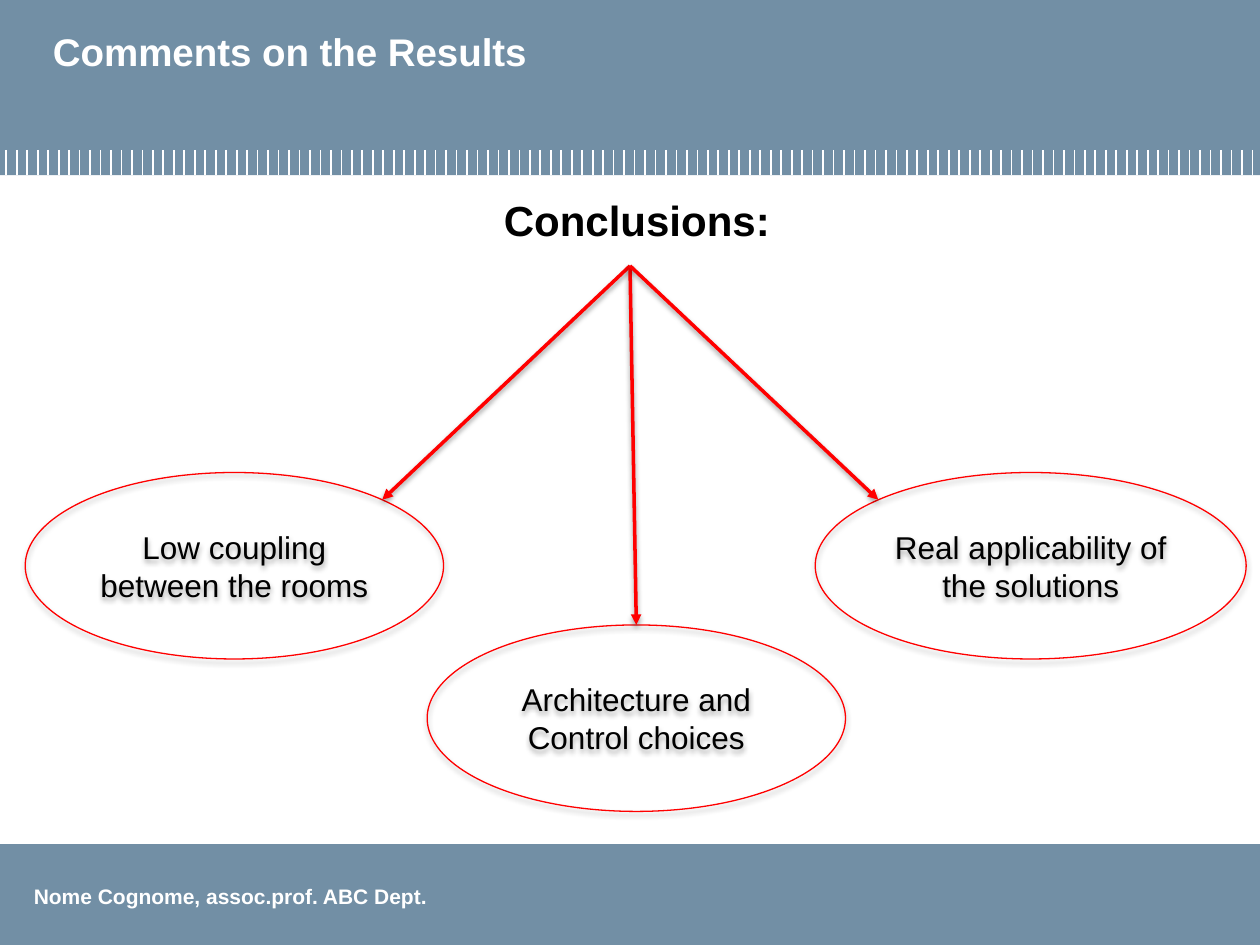
from math import sqrt

from lxml import etree
from pptx import Presentation
from pptx.dml.color import RGBColor
from pptx.enum.shapes import MSO_CONNECTOR, MSO_SHAPE
from pptx.enum.text import MSO_ANCHOR, MSO_AUTO_SIZE, PP_ALIGN
from pptx.oxml.ns import qn
from pptx.util import Inches, Pt

RECTANGLE, OVAL = MSO_SHAPE.RECTANGLE, MSO_SHAPE.OVAL
STRAIGHT = MSO_CONNECTOR.STRAIGHT
LEFT, CENTER = PP_ALIGN.LEFT, PP_ALIGN.CENTER
TOP, MIDDLE = MSO_ANCHOR.TOP, MSO_ANCHOR.MIDDLE
NO_AUTOFIT = MSO_AUTO_SIZE.NONE

COLORS = {"band": "728FA5", "white": "FFFFFF", "black": "000000", "red": "FF0000"}
FONT = "Arial"
TITLE_ONLY = 5
TICK_COUNT = 120
TICK_FIRST, TICK_LAST = 0.05, 9.94
OVAL_SHADOW = {"blur": 3.1, "distance": 1.8, "opacity": 35}
ARROW_SHADOW = {"blur": 3.1, "distance": 1.6, "opacity": 38}
ARROW_START = (5, 2.11)
CONCLUSIONS = [
    ("Low coupling between the rooms", 0.2, 3.75, 3.32),
    ("Architecture and Control choices", 3.39, 4.96, 3.32),
    ("Real applicability of the solutions", 6.47, 3.75, 3.42),
]
OVAL_HEIGHT = 1.48


def color(name):
    return RGBColor.from_string(COLORS[name])


def write(frame, text, size, color_name, bold=False, align=LEFT, anchor=TOP, wrap=True):
    frame.text = text
    frame.auto_size = NO_AUTOFIT
    frame.word_wrap = wrap
    frame.vertical_anchor = anchor
    para = frame.paragraphs[0]
    para.alignment = align
    font = para.runs[0].font
    font.name, font.size, font.bold = FONT, Pt(size), bold
    font.color.rgb = color(color_name)


def set_shadow(shape, blur, distance, opacity):
    """Give the shape a black shadow that falls straight down."""
    effects = etree.SubElement(shape._element.spPr, qn("a:effectLst"))
    shadow = etree.SubElement(
        effects, qn("a:outerShdw"), blurRad=str(Pt(blur)), dist=str(Pt(distance)),
        dir="5400000", rotWithShape="0")
    black = etree.SubElement(shadow, qn("a:srgbClr"), val=COLORS["black"])
    etree.SubElement(black, qn("a:alpha"), val=str(opacity * 1000))


def add_band(page, top, height):
    band = page.shapes.add_shape(RECTANGLE, 0, Inches(top), Inches(10), Inches(height))
    band.shadow.inherit = False
    band.fill.solid()
    band.fill.fore_color.rgb = color("band")
    band.line.fill.background()


def add_line(page, start, end, color_name, width):
    line = page.shapes.add_connector(STRAIGHT, *map(Inches, start + end))
    line.line.color.rgb = color(color_name)
    line.line.width = Pt(width)
    return line


def add_ticks(page):
    pitch = (TICK_LAST - TICK_FIRST) / (TICK_COUNT - 1)
    for index in range(TICK_COUNT):
        x = TICK_FIRST + index * pitch
        tick = add_line(page, (x, 1.19), (x, 1.39), "white", 1)
        etree.SubElement(tick._element.spPr, qn("a:effectLst"))


def add_text(page, left, top, width, height, text, size, color_name, **style):
    box = page.shapes.add_textbox(*map(Inches, (left, top, width, height)))
    write(box.text_frame, text, size, color_name, bold=True, **style)
    return box


def add_title(page, text):
    title = page.shapes.title
    title.left, title.top, title.width, title.height = map(Inches, (0.32, 0.15, 9.38, 0.92))
    write(title.text_frame, text, 22, "white", bold=True)
    title.text_frame.margin_top = Inches(0.07)
    page.shapes._spTree.append(title._element)  # in front of the band


def add_oval(page, text, left, top, width):
    oval = page.shapes.add_shape(OVAL, *map(Inches, (left, top, width, OVAL_HEIGHT)))
    oval.fill.background()
    oval.line.color.rgb = color("red")
    oval.line.width = Pt(0.75)
    set_shadow(oval, **OVAL_SHADOW)
    write(oval.text_frame, text, 18, "black", align=CENTER, anchor=MIDDLE)
    return oval


def add_arrow(page, end):
    arrow = add_line(page, ARROW_START, end, "red", 2)
    etree.SubElement(arrow.line._get_or_add_ln(), qn("a:tailEnd"), type="triangle")
    set_shadow(arrow, **ARROW_SHADOW)
    return arrow


def add_conclusions(page):
    """Draw the ovals, then an arrow to the side of each that faces the heading."""
    ovals = [add_oval(page, *conclusion) for conclusion in CONCLUSIONS]
    for side, oval, (_, left, top, width) in zip((1, 0, -1), ovals, CONCLUSIONS):
        reach = 1 / sqrt(2) if side else 1
        x = left + width / 2 * (1 + side * reach)
        y = top + OVAL_HEIGHT / 2 * (1 - reach)
        arrow = add_arrow(page, (x, y))
        if side == 0:
            arrow.end_connect(oval, 0)


def main():
    deck = Presentation()
    deck.slide_width, deck.slide_height = Inches(10), Inches(7.5)
    page = deck.slides.add_slide(deck.slide_layouts[TITLE_ONLY])
    add_band(page, 0, 1.39)
    add_band(page, 6.7, 0.8)
    add_text(page, 0.17, 6.96, 3.36, 0.3, "Nome Cognome, assoc.prof. ABC Dept.",
             12, "white", wrap=False)
    add_ticks(page)
    add_title(page, "Comments on the Results")
    heading = add_text(page, 0.32, 1.47, 9.47, 4.95, "Conclusions:", 24, "black", align=CENTER)
    heading.text_frame.margin_top = Inches(0.07)
    add_conclusions(page)
    deck.save("out.pptx")


if __name__ == "__main__":
    main()
